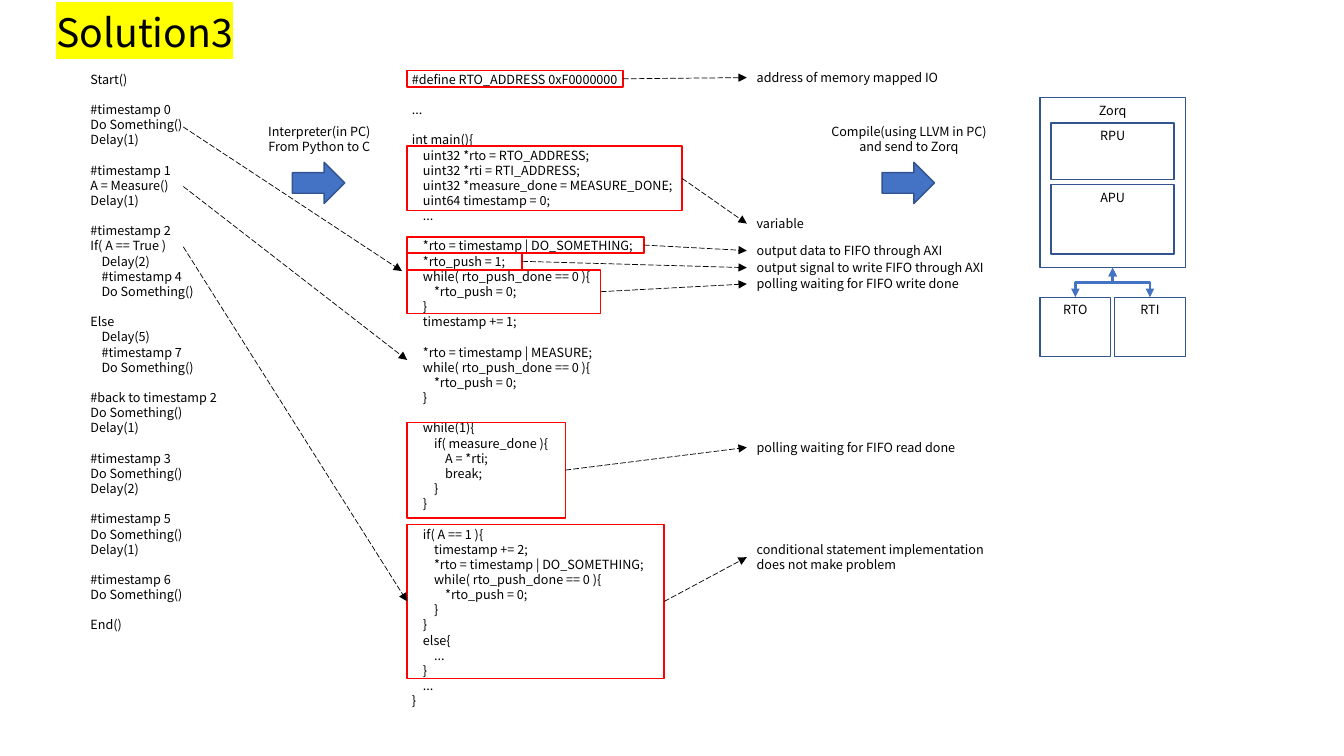
from dataclasses import dataclass
from pptx import Presentation
from pptx.dml.color import RGBColor as RGB
from pptx.enum.dml import MSO_LINE
from pptx.enum.shapes import MSO_CONNECTOR as CONN, MSO_SHAPE as SHAPE
from pptx.enum.text import MSO_ANCHOR, PP_ALIGN
from pptx.oxml import parse_xml
from pptx.oxml.ns import nsdecls
from pptx.util import Cm, Pt


@dataclass(frozen=True)
class Theme:
    font: str = "Noto Sans CJK KR"
    title: float = 28
    body: float = 9
    pitch: float = 10.83
    indent: float = 0.28
    text: str = "000000"
    mark: str = "FFFF00"
    frame: str = "FF0000"
    accent: str = "4472C4"
    edge: str = "325491"


T = Theme()
TITLE = "Solution3"
PYTHON_CODE = """Start()

#timestamp 0
Do Something()
Delay(1)

#timestamp 1
A = Measure()
Delay(1)

#timestamp 2
If( A == True )
    Delay(2)
    #timestamp 4
    Do Something()

Else
    Delay(5)
    #timestamp 7
    Do Something()

#back to timestamp 2
Do Something()
Delay(1)

#timestamp 3
Do Something()
Delay(2)

#timestamp 5
Do Something()
Delay(1)

#timestamp 6
Do Something()

End()"""
C_CODE = """#define RTO_ADDRESS 0xF0000000

...

int main(){
    uint32 *rto = RTO_ADDRESS;
    uint32 *rti = RTI_ADDRESS;
    uint32 *measure_done = MEASURE_DONE;
    uint64 timestamp = 0;
    ...

    *rto = timestamp | DO_SOMETHING;
    *rto_push = 1;
    while( rto_push_done == 0 ){
        *rto_push = 0;
    }
    timestamp += 1;

    *rto = timestamp | MEASURE;
    while( rto_push_done == 0 ){
        *rto_push = 0;
    }

    while(1){
        if( measure_done ){
            A = *rti;
            break;
        }
    }

    if( A == 1 ){
        timestamp += 2;
        *rto = timestamp | DO_SOMETHING;
        while( rto_push_done == 0 ){
            *rto_push = 0;
        }
    }
    else{
        ...
    }
    ...
}"""
STEPS = [
    (5.82, "Interpreter(in PC)\nFrom Python to C"),
    (20.68, "Compile(using LLVM in PC) and send to Zorq"),
]
CALLOUTS = [
    (1.78, 5.44, 0.41, "address of memory mapped IO", 1.63, 0.65),
    (3.68, 6.93, 1.63, "variable", 5.31, 0.65),
    (5.97, 5.97, 0.41, "output data to FIFO through AXI", 5.99, 0.65),
    (6.38, 2.9, 0.41, "output signal to write FIFO through AXI", 6.42, 0.65),
    (6.8, 4.88, 1.1, "polling waiting for FIFO write done", 6.83, 0.65),
    (10.64, 3.99, 2.41, "polling waiting for FIFO read done", 10.95, 0.65),
    (13.21, 6.48, 3.89, "conditional statement implementation does not make problem", 13.53, 1.02),
]
BLOCKS = {
    "Zorq": (26.21, 2.46, 3.66, 4.29),
    "APU": (26.49, 4.65, 3.1, 1.75),
    "RPU": (26.49, 3.1, 3.1, 1.42),
    "RTO": (26.21, 7.49, 1.78, 1.5),
    "RTI": (28.09, 7.49, 1.78, 1.5),
}
FLOW_X = 4.62
FLOWS = [(3.2, 10.13, 6.83), (4.7, 10.26, 9.07), (6.22, 10.26, 15.16)]
FRAME_X, LABEL_X, LABEL_W = 10.26, 18.82, 6.27

prs = Presentation()
prs.slide_width, prs.slide_height = Cm(33.87), Cm(19.05)
shapes = prs.slides.add_slide(prs.slide_layouts[6]).shapes


def write(sp, text, align=PP_ALIGN.LEFT, size=T.body):
    tf = sp.text_frame
    tf.word_wrap = True
    tf.vertical_anchor = MSO_ANCHOR.TOP
    blanks, first = 0, True
    for line in text.splitlines():
        if not line:
            blanks += 1
            continue
        p = tf.paragraphs[0] if first else tf.add_paragraph()
        p.text = line.lstrip()
        p.alignment = align
        p.line_spacing = Pt(T.pitch)
        p.space_before = Pt(T.pitch * blanks)
        level = (len(line) - len(p.text)) // 4
        if level:
            p._p.get_or_add_pPr().set("marL", str(Cm(T.indent * level)))
        font = p.runs[0].font
        font.name, font.size = T.font, Pt(size)
        font.color.rgb = RGB.from_string(T.text)
        blanks, first = 0, False
    return tf


def add_text(x, y, w, h, text, **style):
    sp = shapes.add_textbox(Cm(x), Cm(y), Cm(w), Cm(h))
    write(sp, text, **style)
    return sp


def add_box(x, y, w, h, line, kind=SHAPE.RECTANGLE, fill=None):
    sp = shapes.add_shape(kind, Cm(x), Cm(y), Cm(w), Cm(h))
    sp.shadow.inherit = False
    if fill:
        sp.fill.solid()
        sp.fill.fore_color.rgb = RGB.from_string(fill)
    else:
        sp.fill.background()
    sp.line.color.rgb = RGB.from_string(line)
    sp.line.width = Pt(1)
    return sp


def add_arrow(x1, y1, x2, y2, kind=CONN.STRAIGHT, color=T.text, width=0.5, ends=("tailEnd",)):
    c = shapes.add_connector(kind, Cm(x1), Cm(y1), Cm(x2), Cm(y2))
    c.line.color.rgb = RGB.from_string(color)
    c.line.width = Pt(width)
    if kind == CONN.STRAIGHT:
        c.line.dash_style = MSO_LINE.LONG_DASH
    ln = c.line._get_or_add_ln()
    for end in ends:
        ln.append(parse_xml(f'<a:{end} {nsdecls("a")} type="triangle"/>'))
    c._element.spPr.append(parse_xml(f'<a:effectLst {nsdecls("a")}/>'))
    return c


def add_bus(top, bottom):
    c = add_arrow(0, 0, 1, 1, CONN.ELBOW, T.accent, 2, ("headEnd", "tailEnd"))
    c.begin_connect(top, 2)
    c.end_connect(bottom, 0)
    x1, y1 = top.left + top.width // 2, top.top + top.height
    x2, y2 = bottom.left + bottom.width // 2, bottom.top
    w, h = y2 - y1, abs(x2 - x1)
    xfrm = c._element.spPr.find("{*}xfrm")
    for key in ("flipH", "flipV"):
        xfrm.attrib.pop(key, None)
    c.left, c.top = (x1 + x2 - w) // 2, (y1 + y2 - h) // 2
    c.width, c.height = w, h
    xfrm.set("rot", str((90 if x2 < x1 else 270) * 60000))
    if x2 > x1:
        xfrm.set("flipH", "1")


title = add_text(1.17, 0.25, 29.21, 1.32, TITLE, size=T.title)
title.text_frame.vertical_anchor = MSO_ANCHOR.MIDDLE
p = title.text_frame.paragraphs[0]
p.line_spacing = 0.8
fill = p.runs[0]._r.rPr.find("{*}solidFill")
fill.addnext(parse_xml(f'<a:highlight {nsdecls("a")}><a:srgbClr val="{T.mark}"/></a:highlight>'))

add_text(2.03, 1.68, 4.45, 14.81, PYTHON_CODE)
add_text(10.13, 1.68, 8.08, 17.09, C_CODE)

for x, caption in STEPS:
    add_box(x + 1.55, 4.09, 1.32, 1.04, T.edge, SHAPE.RIGHT_ARROW, T.accent)
    add_text(x, 3, 4.45, 1.12, caption, align=PP_ALIGN.CENTER)

for top, width, height, text, label_top, label_height in CALLOUTS:
    frame = add_box(FRAME_X, top, width, height, T.frame)
    label = add_text(LABEL_X, label_top, LABEL_W, label_height, text)
    c = add_arrow(FRAME_X + width, top, LABEL_X, label_top)
    c.begin_connect(frame, 3)
    c.end_connect(label, 1)

blocks = {}
for name, place in BLOCKS.items():
    blocks[name] = add_box(*place, T.edge)
    write(blocks[name], name, PP_ALIGN.CENTER)
for port in ("RTO", "RTI"):
    add_bus(blocks["Zorq"], blocks[port])

for y1, x2, y2 in FLOWS:
    c = add_arrow(FLOW_X, y1, x2, y2)
c.end_connect(frame, 1)

prs.save("out.pptx")
